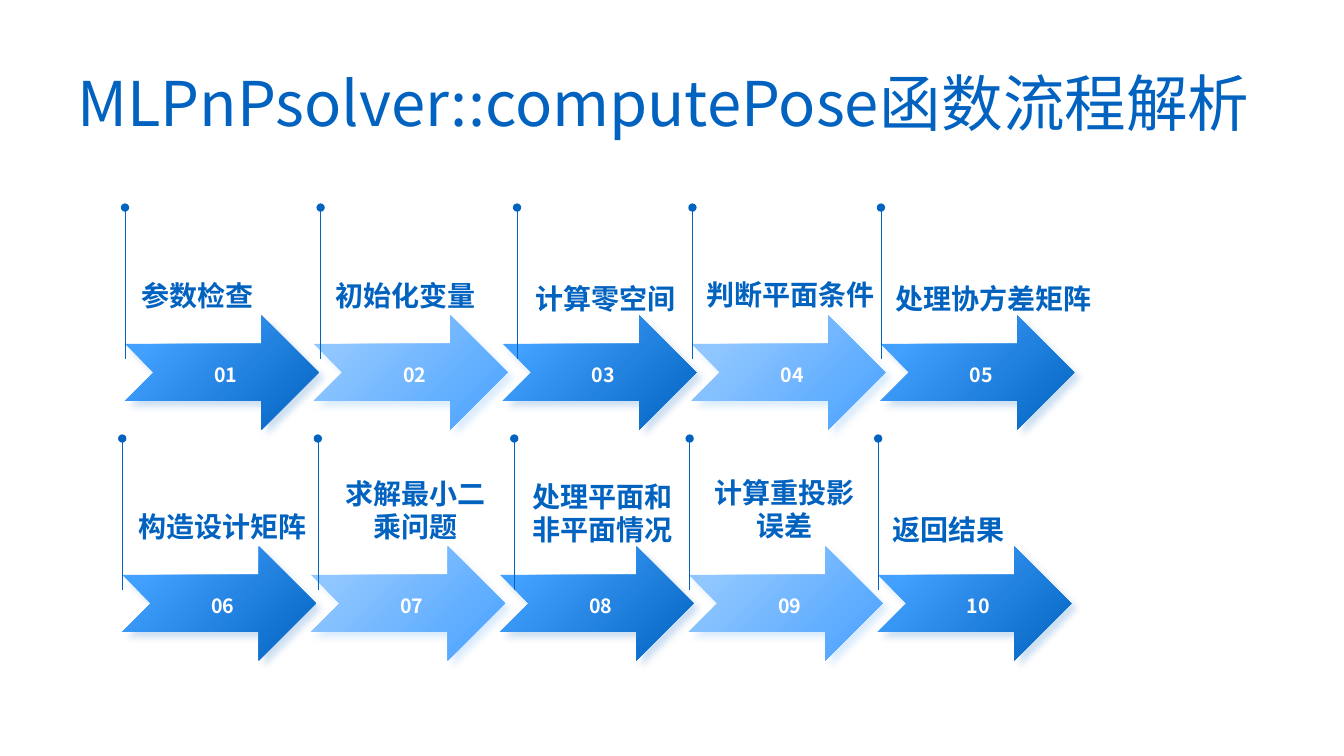
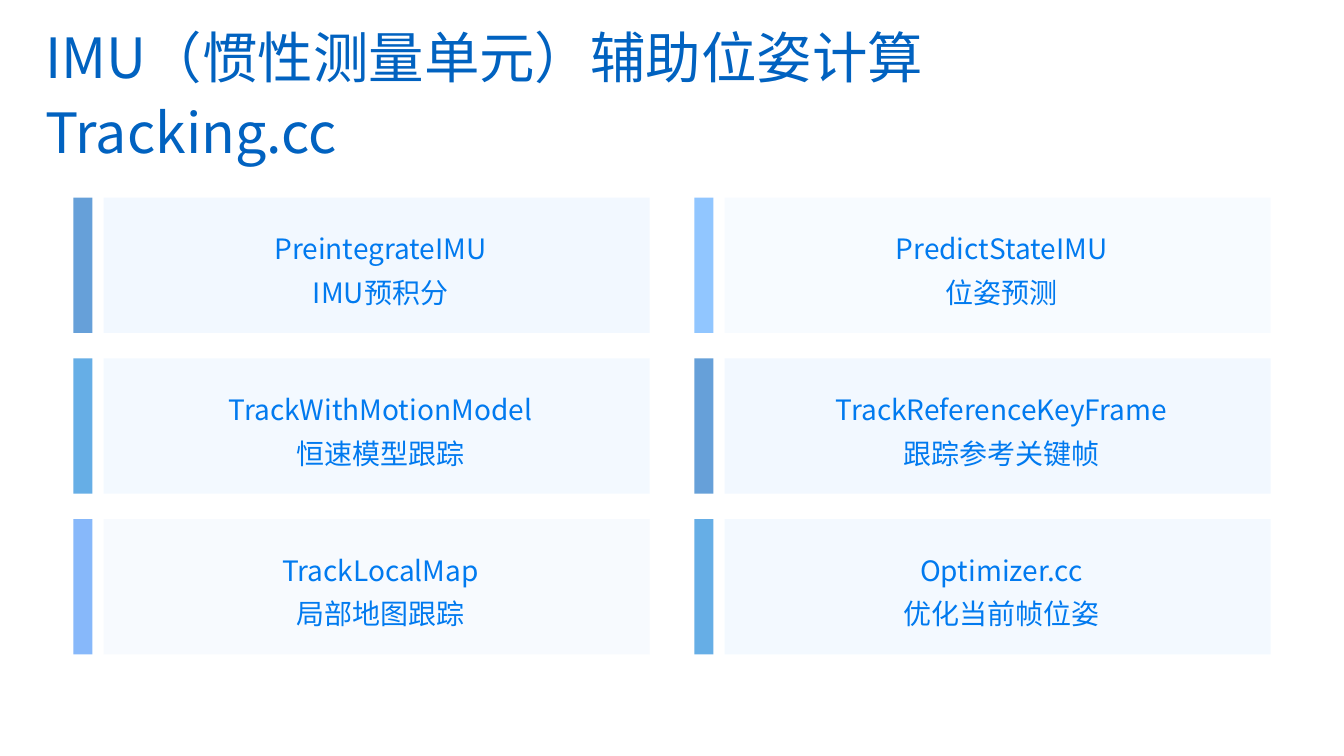
from lxml import etree
from pptx import Presentation
from pptx.dml.color import RGBColor
from pptx.enum.shapes import MSO_CONNECTOR, MSO_SHAPE
from pptx.enum.text import MSO_ANCHOR, MSO_AUTO_SIZE, PP_ALIGN
from pptx.oxml.ns import qn
from pptx.util import Cm, Pt

ARROW, RECT = MSO_SHAPE.NOTCHED_RIGHT_ARROW, MSO_SHAPE.RECTANGLE
STRAIGHT = MSO_CONNECTOR.STRAIGHT
LEFT, CENTER = PP_ALIGN.LEFT, PP_ALIGN.CENTER
MIDDLE, BOTTOM = MSO_ANCHOR.MIDDLE, MSO_ANCHOR.BOTTOM
NO_AUTOFIT = MSO_AUTO_SIZE.NONE
TITLE_ONLY = 5

# Shared style
FONT = "Noto Sans CJK SC"
NAVY, BLUE, SKY, WHITE = "0162C0", "017AEF", "48A1FF", "FFFFFF"
OCEAN, PERIWINKLE = "0178D6", "3789F7"
TITLE_INSETS = (0.25, 0.13, 0.25, 0.13)
NO_INSETS = (0, 0, 0, 0)

# Process steps: text, label width and alignment
STEP_ROWS = [
    [("参数检查", 4.17, LEFT), ("初始化变量", 4.17, LEFT),
     ("计算零空间", 4.17, LEFT), ("判断平面条件", 4.72, LEFT),
     ("处理协方差矩阵", 5.87, LEFT)],
    [("构造设计矩阵", 4.6, LEFT), ("求解最小二乘问题", 4.17, CENTER),
     ("处理平面和非平面情况", 4.17, LEFT), ("计算重投影误差", 4.06, CENTER),
     ("返回结果", 5.87, LEFT)],
]
# Columns: marker line x, label x, label y
STEP_COLUMNS = [(3.15, 3.56, 6.4), (8.08, 8.46, 6.4), (13.03, 13.49, 6.48),
                (17.45, 17.81, 6.38), (22.2, 22.56, 6.48)]
ARROW_GRADIENTS = [("42A1FE", NAVY), ("91C7FF", SKY)]

# Function cards, row by row: name, meaning, bar colour, panel colour
CARD_ROWS = [
    [("PreintegrateIMU", "IMU预积分", NAVY, "C0E0FF"),
     ("PredictStateIMU", "位姿预测", SKY, "DAECFF")],
    [("TrackWithMotionModel", "恒速模型跟踪", OCEAN, "C4E5FF"),
     ("TrackReferenceKeyFrame", "跟踪参考关键帧", NAVY, "C0E0FF")],
    [("TrackLocalMap", "局部地图跟踪", PERIWINKLE, "D7E7FD"),
     ("Optimizer.cc", "优化当前帧位姿", OCEAN, "C4E5FF")],
]


def color(hex_code):
    return RGBColor.from_string(hex_code)


def add_alpha(parent, percent):
    etree.SubElement(parent, qn("a:alpha"), val=str(percent * 1000))


def write(box, lines, size, hex_code, align=LEFT, anchor=MIDDLE, bold=False,
          spacing=None, insets=NO_INSETS, wrap=True):
    """Fill the first paragraph of a box, with a line break between lines."""
    frame = box.text_frame
    frame.auto_size = NO_AUTOFIT
    frame.word_wrap = wrap
    frame.vertical_anchor = anchor
    (frame.margin_left, frame.margin_top,
     frame.margin_right, frame.margin_bottom) = [Cm(inset) for inset in insets]
    para = frame.paragraphs[0]
    para.alignment = align
    if spacing:
        para.line_spacing = spacing
    for index, line in enumerate(lines):
        if index:
            para.add_line_break()
        span = para.add_run()
        span.text = line
        span.font.size = Pt(size)
        span.font.bold = bold
        span.font.color.rgb = color(hex_code)
        span.font.name = FONT
        etree.SubElement(span.font._element, qn("a:ea"), typeface=FONT)


def add_title_page(deck, text, size, left, top, height):
    page = deck.slides.add_slide(deck.slide_layouts[TITLE_ONLY])
    title = page.shapes.title
    title.left, title.top = Cm(left), Cm(top)
    title.width, title.height = Cm(30.48), Cm(height)
    write(title, [text], size, NAVY, spacing=0.9, insets=TITLE_INSETS)
    return page


def add_plain_shape(page, kind, left, top, width, height):
    shape = page.shapes.add_shape(kind, Cm(left), Cm(top), Cm(width), Cm(height))
    shape.shadow.inherit = False
    shape.line.fill.background()
    return shape


def add_text_box(page, left, top, width, height, lines, size, **style):
    box = page.shapes.add_textbox(Cm(left), Cm(top), Cm(width), Cm(height))
    write(box, lines, size, NAVY, **style)


def add_arrow(page, left, top, number, gradient):
    arrow = add_plain_shape(page, ARROW, left, top, 4.88, 2.87)
    arrow.fill.gradient()
    arrow.fill.gradient_angle = 315
    stops = arrow.fill.gradient_stops
    for stop, position, hex_code in zip(stops, (0.16, 1), gradient):
        stop.position = position
        stop.color.rgb = color(hex_code)
    # Soft shadow in the darker gradient colour
    effects = arrow._element.spPr.find(qn("a:effectLst"))
    shadow = etree.SubElement(
        effects, qn("a:outerShdw"), blurRad=str(Pt(5)), dist=str(Pt(5)),
        dir="2700000", algn="tl", rotWithShape="0")
    add_alpha(etree.SubElement(shadow, qn("a:srgbClr"), val=gradient[1]), 20)
    write(arrow, [f"{number:02}"], 14, WHITE, CENTER, bold=True,
          insets=(0.4, 0.2, 0.2, 0.1), wrap=False)


def add_marker_line(page, x, top):
    line = page.shapes.add_connector(STRAIGHT, Cm(x), Cm(top), Cm(x), Cm(top + 3.81))
    line.line.color.rgb = color(NAVY)
    line.line.width = Pt(0.25)
    etree.SubElement(line.line._get_or_add_ln(), qn("a:headEnd"), type="oval")
    etree.SubElement(line._element.spPr, qn("a:effectLst"))


def add_block(page, left, top, width, hex_code, opacity):
    block = add_plain_shape(page, RECT, left, top, width, 3.41)
    block.fill.solid()
    block.fill.fore_color.rgb = color(hex_code)
    add_alpha(block._element.spPr.find(qn("a:solidFill"))[0], opacity)
    return block


def add_card(page, left, top, name, meaning, bar_color, panel_color):
    panel = add_block(page, left + 0.76, top, 13.76, panel_color, 20)
    write(panel, [name, meaning], 20, BLUE, CENTER, spacing=1.3,
          insets=(0.76, 0.43, 0.56, 0.43))
    add_block(page, left, top, 0.48, bar_color, 60)


def build_process_page(deck):
    page = add_title_page(deck, "MLPnPsolver::computePose函数流程解析", 44, 1.7, 1.7, 1.96)
    for row, steps in enumerate(STEP_ROWS):
        shift, drop = -0.07 * row, 5.82 * row
        for column in range(len(steps)):
            add_arrow(page, 3.15 + 4.76 * column + shift, 7.95 + drop,
                      row * len(steps) + column + 1, ARROW_GRADIENTS[column % 2])
        for (text, width, align), (line_x, label_x, label_y) in zip(steps, STEP_COLUMNS):
            add_marker_line(page, line_x + shift, 5.23 + drop)
            add_text_box(page, label_x + shift, label_y + drop, width, 1.47, [text],
                         20, align=align, anchor=BOTTOM, bold=True)


def build_tracking_page(deck):
    page = add_title_page(deck, "IMU（惯性测量单元）辅助位姿计算", 39.6, 0.9, 0.64, 1.75)
    for row, cards in enumerate(CARD_ROWS):
        for column, card in enumerate(cards):
            add_card(page, 1.85 + 15.65 * column, 4.98 + 4.05 * row, *card)
    add_text_box(page, 0.9, 2.59, 30.48, 1.75, ["Tracking.cc"], 39.6,
                 spacing=0.8, insets=TITLE_INSETS)


def main():
    deck = Presentation()
    deck.slide_width, deck.slide_height = Cm(33.87), Cm(19.05)
    build_process_page(deck)
    build_tracking_page(deck)
    deck.save("out.pptx")


if __name__ == "__main__":
    main()
